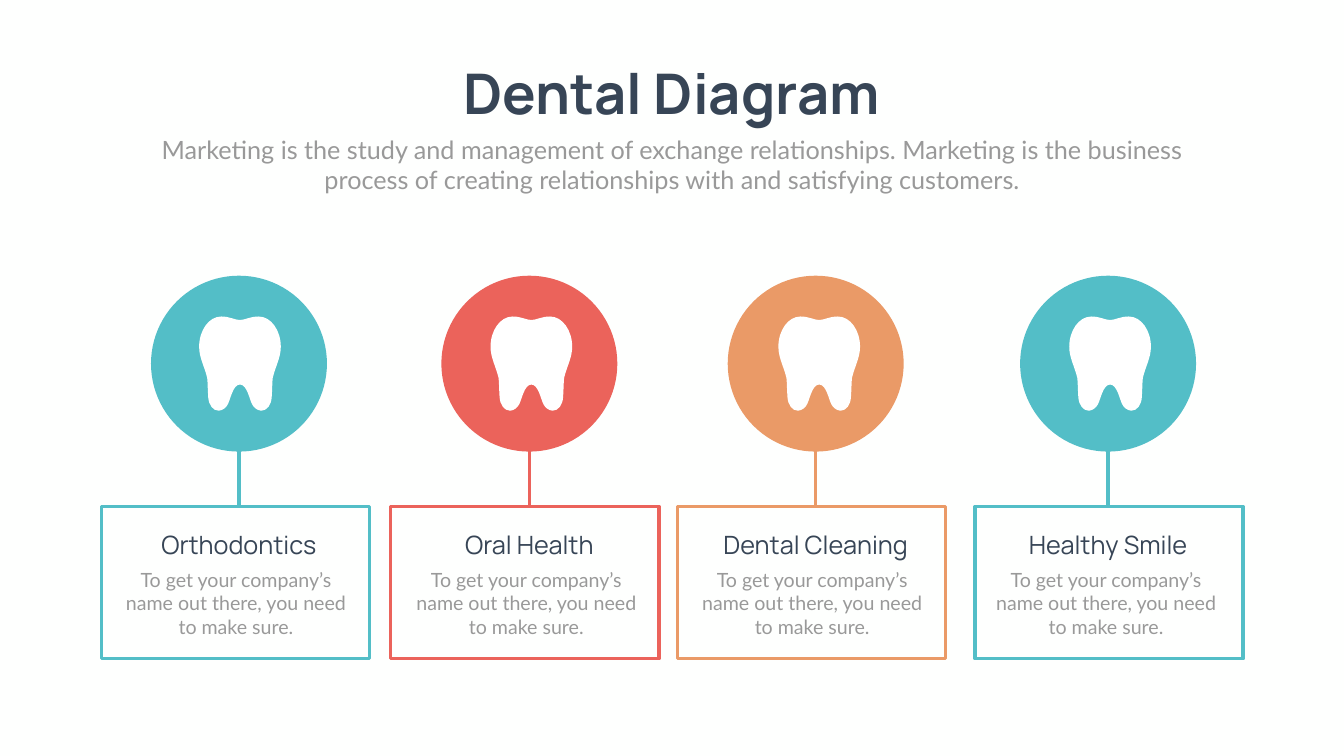
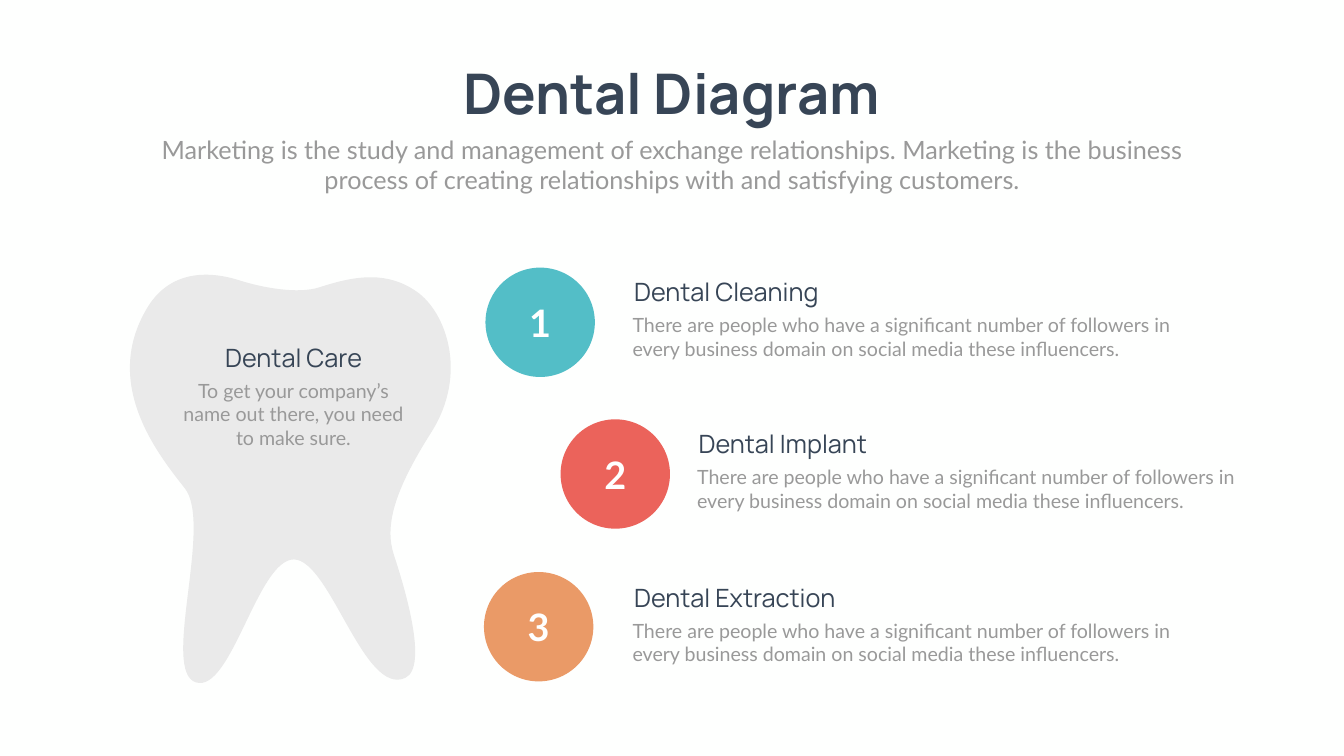
from lxml.etree import SubElement
from pptx import Presentation
from pptx.dml.color import RGBColor
from pptx.enum.shapes import MSO_CONNECTOR as CONN, MSO_SHAPE as SHAPE
from pptx.enum.text import MSO_ANCHOR as ANCHOR, PP_ALIGN as ALIGN
from pptx.oxml.ns import qn
from pptx.util import Inches, Pt

COLORS = {"bg": "FEFFFE", "navy": "374556", "gray": "999999", "white": "FFFFFF",
          "teal": "53BEC7", "red": "EB635B", "orange": "EA9A67", "pale": "EAEAEA"}
HEAD, BODY = "Manrope", "Lato"
LINE_WIDTH = Pt(5)

INTRO = ("Marketing is the study and management of exchange relationships. "
         "Marketing is the business process of creating relationships with "
         "and satisfying customers.")
CARD_TEXT = "To get your company’s name out there, you need to make sure."
STEP_TEXT = ("There are people who have a significant number of followers in "
             "every business domain on social media these influencers.")

# title, colour, circle centre, tooth centre, frame left, text left, title width
CARDS = [
    ("Orthodontics", "teal", 4.74, 4.76, 2.01, 2.25, 4.13),
    ("Oral Health", "red", 10.5, 10.54, 7.75, 8.01, 3.26),
    ("Dental Cleaning", "orange", 16.18, 16.25, 13.44, 13.68, 4.92),
    ("Healthy Smile", "teal", 21.98, 22.02, 19.34, 19.51, 3.99),
]

# title, colour, circle left, circle top, text left, text top, text width
STEPS = [
    ("Dental Cleaning", "teal", 9.63, 5.31, 12.45, 5.43, 11.35),
    ("Dental Implant", "red", 11.12, 8.32, 13.73, 8.45, 10.99),
    ("Dental Extraction", "orange", 9.6, 11.35, 12.45, 11.5, 11.35),
]

# Outlines are a start point, then cubic curves of two controls and an end.
HALF_TOOTH = [
    (0, .07),
    (.1, .07), (.2, 0), (.37, 0),
    (.62, 0), (.81, .28), (.81, .6),
    (.81, .82), (.7, 1), (.65, 1.22),
    (.64, 1.3), (.64, 1.45), (.63, 1.6),
    (.62, 1.75), (.54, 1.87), (.42, 1.87),
    (.33, 1.86), (.27, 1.8), (.24, 1.74),
    (.19, 1.65), (.14, 1.35), (0, 1.35),
]
BIG_TOOTH = [
    (.42, .7),
    (.82, .03), (1.51, -.08), (2.24, .15),
    (2.71, .3), (3.41, .43), (3.84, .29),
    (4.6, .04), (5.2, -.02), (5.77, .38),
    (6.33, .77), (6.8, 1.98), (6.06, 3.16),
    (5.31, 4.34), (5.12, 5.04), (5.32, 5.62),
    (5.51, 6.2), (6.01, 7.82), (5.54, 8.04),
    (4.72, 8.42), (4.05, 5.7), (3.33, 5.69),
    (2.61, 5.69), (2.09, 8.34), (1.39, 8.13),
    (.68, 7.92), (1.74, 4.98), (1.16, 4.27),
    (.59, 3.55), (-.47, 2.18), (.42, .7),
]


def rgb(name):
    return RGBColor.from_string(COLORS[name])


def write(tf, text, size=28, font=BODY, color="gray", bold=False, align=ALIGN.LEFT):
    p = tf.paragraphs[0]
    p.alignment = align
    r = p.add_run()
    r.text = text
    r.font.size = Pt(size)
    r.font.name = font
    r.font.bold = bold
    r.font.color.rgb = rgb(color)


def add_text(s, x, y, w, h, text, **fmt):
    tf = s.shapes.add_textbox(*map(Inches, (x, y, w, h))).text_frame
    tf.word_wrap = True
    write(tf, text, **fmt)


def paint(sp, fill=None, line=None):
    sp.shadow.inherit = False
    if fill:
        sp.fill.solid()
        sp.fill.fore_color.rgb = rgb(fill)
    else:
        sp.fill.background()
    if line:
        sp.line.color.rgb = rgb(line)
        sp.line.width = LINE_WIDTH
    else:
        sp.line.fill.background()
    return sp


def add_shape(s, kind, x, y, w, h, **look):
    return paint(s.shapes.add_shape(kind, *map(Inches, (x, y, w, h))), **look)


def add_stem(s, x, top, bottom, color):
    c = s.shapes.add_connector(CONN.STRAIGHT, *map(Inches, (x, top, x, bottom)))
    c.line.color.rgb = rgb(color)
    c.line.width = LINE_WIDTH
    SubElement(c._element.spPr, qn("a:effectLst"))


def add_outline(s, x, y, outline, fill):
    """Draw a closed freeform whose sides are the cubic curves of the outline."""
    pts = [(Inches(x + dx), Inches(y + dy)) for dx, dy in outline]
    ends = pts[::3]
    builder = s.shapes.build_freeform(*ends[0])
    builder.add_line_segments(ends[1:], close=True)
    sp = paint(builder.convert_to_shape(), fill=fill)
    left, top = (min(axis) for axis in zip(*ends))
    sides = list(sp._element.iter(qn("a:lnTo")))
    for i, side in enumerate(sides):
        curve = side.makeelement(qn("a:cubicBezTo"))
        for px, py in pts[3 * i + 1:3 * i + 4]:
            SubElement(curve, qn("a:pt"), x=str(px - left), y=str(py - top))
        side.getparent().replace(side, curve)


def add_small_tooth(s, cx, y):
    left_half = [(-dx, dy) for dx, dy in reversed(HALF_TOOTH)]
    add_outline(s, cx, y, HALF_TOOTH + left_half[1:], "white")


def add_subtitle(s, x, y, w, text, **fmt):
    add_text(s, x, y, w, .71, text, size=36, font=HEAD, color="navy", **fmt)


def new_slide(prs):
    """Add a slide with the shared background, title and introduction."""
    s = prs.slides.add_slide(prs.slide_layouts[6])
    s.background.fill.solid()
    s.background.fill.fore_color.rgb = rgb("bg")
    add_text(s, 8.65, 1.12, 9.35, 1.45, "Dental Diagram", size=80, font=HEAD,
             color="navy", bold=True, align=ALIGN.CENTER)
    add_text(s, 2.92, 2.61, 20.82, 1.31, INTRO, size=36, align=ALIGN.CENTER)
    return s


def add_card(s, y, title, color, cx, tooth_cx, frame_x, text_x, title_w):
    d, frame_y = 3.49, y + 4.58
    add_stem(s, cx, y + .98, frame_y, color)
    add_shape(s, SHAPE.OVAL, cx - d / 2, y, d, d, fill=color)
    add_small_tooth(s, tooth_cx, y + .81)
    add_shape(s, SHAPE.RECTANGLE, frame_x, frame_y, 5.32, 3.02, line=color)
    add_subtitle(s, cx - title_w / 2, frame_y + .4, title_w, title, align=ALIGN.CENTER)
    add_text(s, text_x, frame_y + 1.16, 4.86, 1.51, CARD_TEXT, align=ALIGN.CENTER)


def add_care_tooth(s, x, y):
    add_outline(s, x, y, BIG_TOOTH, "pale")
    add_subtitle(s, x + 1.33, y + 1.34, 3.99, "Dental Care", align=ALIGN.CENTER)
    add_text(s, x + .95, y + 2.05, 4.74, 1.51, CARD_TEXT, align=ALIGN.CENTER)


def add_step(s, number, title, color, x, y, text_x, text_y, text_w):
    sp = add_shape(s, SHAPE.OVAL, x, y, 2.17, 2.17, fill=color)
    tf = sp.text_frame
    tf.vertical_anchor = ANCHOR.MIDDLE
    write(tf, str(number), size=54, color="white", bold=True, align=ALIGN.CENTER)
    add_subtitle(s, text_x + .03, text_y, 5.35, title)
    add_text(s, text_x, text_y + .73, text_w, 1.04, STEP_TEXT)


def build_cards_slide(prs):
    s = new_slide(prs)
    for card in CARDS:
        add_card(s, 5.47, *card)


def build_steps_slide(prs):
    s = new_slide(prs)
    add_care_tooth(s, 2.5, 5.41)
    for number, step in enumerate(STEPS, 1):
        add_step(s, number, *step)


def main():
    prs = Presentation()
    prs.slide_width, prs.slide_height = Inches(26.66), Inches(15)
    build_cards_slide(prs)
    build_steps_slide(prs)
    prs.save("out.pptx")


if __name__ == "__main__":
    main()
